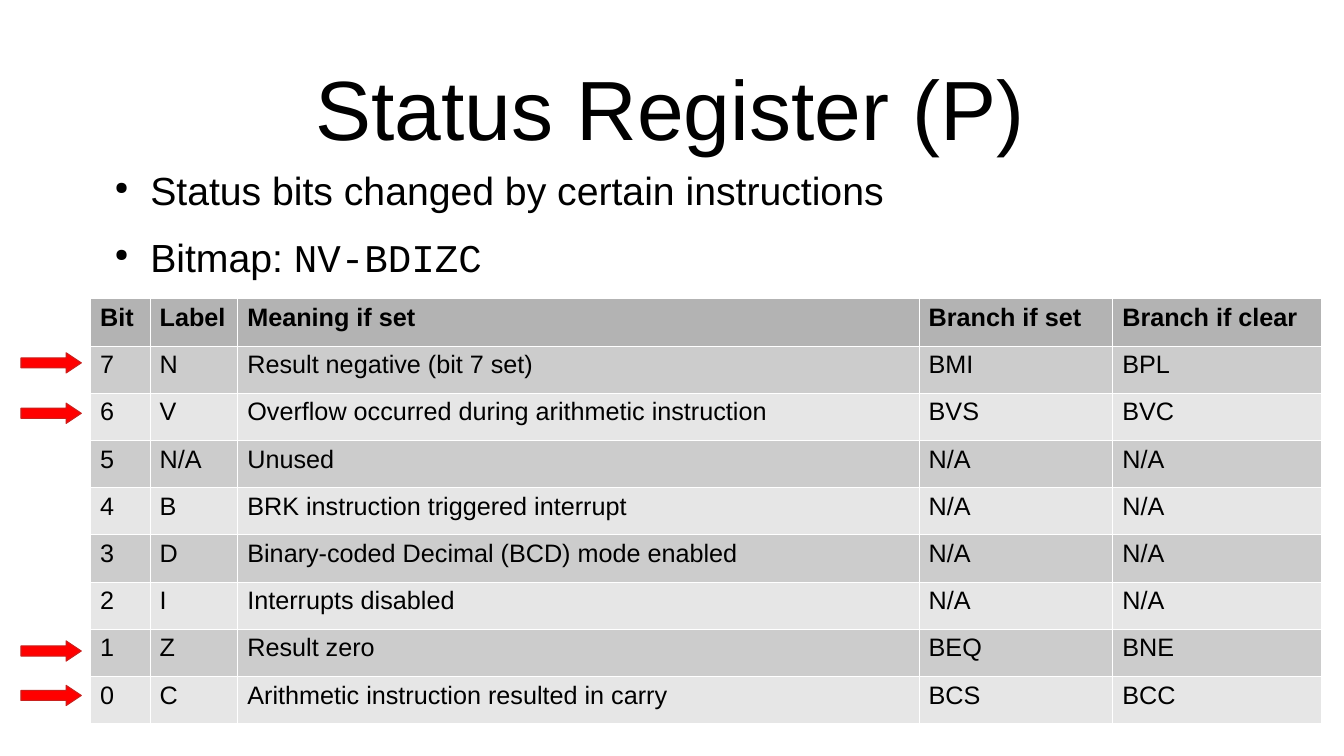
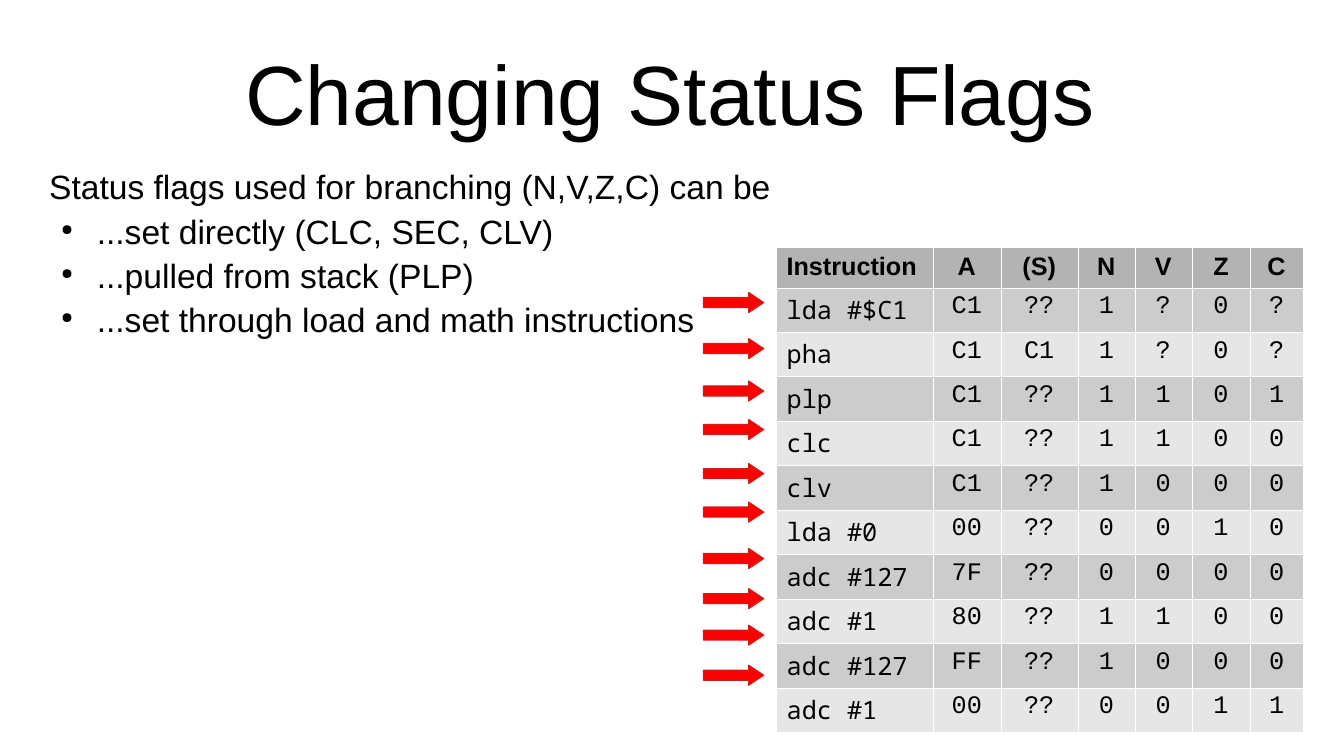
from lxml import etree
from pptx import Presentation
from pptx.dml.color import RGBColor
from pptx.enum.shapes import MSO_SHAPE
from pptx.enum.text import MSO_ANCHOR, MSO_AUTO_SIZE, PP_ALIGN
from pptx.oxml.ns import qn
from pptx.util import Cm, Pt

RIGHT_ARROW = MSO_SHAPE.RIGHT_ARROW
MIDDLE = MSO_ANCHOR.MIDDLE
NO_AUTOFIT = MSO_AUTO_SIZE.NONE
LEFT, CENTER = PP_ALIGN.LEFT, PP_ALIGN.CENTER

BLACK = RGBColor(0x00, 0x00, 0x00)
WHITE = RGBColor(0xFF, 0xFF, 0xFF)
RED = RGBColor(0xFF, 0x00, 0x00)
DARK_RED = RGBColor(0xC9, 0x21, 0x1E)
HEADER_GRAY = RGBColor(0xB3, 0xB3, 0xB3)
BAND_GRAYS = (RGBColor(0xCC, 0xCC, 0xCC), RGBColor(0xE6, 0xE6, 0xE6))

SANS = "Arial"
MONO = "Courier New"
CODE = "Noto Sans Mono"
TITLE_ONLY = 5

STATUS_BITS = [
    ("Bit", "Label", "Meaning if set", "Branch if set", "Branch if clear"),
    ("7", "N", "Result negative (bit 7 set)", "BMI", "BPL"),
    ("6", "V", "Overflow occurred during arithmetic instruction", "BVS", "BVC"),
    ("5", "N/A", "Unused", "N/A", "N/A"),
    ("4", "B", "BRK instruction triggered interrupt", "N/A", "N/A"),
    ("3", "D", "Binary-coded Decimal (BCD) mode enabled", "N/A", "N/A"),
    ("2", "I", "Interrupts disabled", "N/A", "N/A"),
    ("1", "Z", "Result zero", "BEQ", "BNE"),
    ("0", "C", "Arithmetic instruction resulted in carry", "BCS", "BCC"),
]
FLAG_TRACE = [
    ("Instruction", "A", "(S)", "N", "V", "Z", "C"),
    ("lda #$C1", "C1", "??", "1", "?", "0", "?"),
    ("pha", "C1", "C1", "1", "?", "0", "?"),
    ("plp", "C1", "??", "1", "1", "0", "1"),
    ("clc", "C1", "??", "1", "1", "0", "0"),
    ("clv", "C1", "??", "1", "0", "0", "0"),
    ("lda #0", "00", "??", "0", "0", "1", "0"),
    ("adc #127", "7F", "??", "0", "0", "0", "0"),
    ("adc #1", "80", "??", "1", "1", "0", "0"),
    ("adc #127", "FF", "??", "1", "0", "0", "0"),
    ("adc #1", "00", "??", "0", "0", "1", "1"),
]


def add_run(paragraph, text, size, font_name=SANS, bold=False):
    run = paragraph.add_run()
    run.text = text
    run.font.size = Pt(size)
    run.font.name = font_name
    run.font.bold = bold
    run.font.color.rgb = BLACK


def add_titled_slide(presentation, text, top):
    slide = presentation.slides.add_slide(presentation.slide_layouts[TITLE_ONLY])
    title = slide.shapes.title
    title.left, title.top, title.width, title.height = Cm(0.5), Cm(top), Cm(32.77), Cm(3.68)
    frame = title.text_frame
    frame.auto_size = NO_AUTOFIT
    frame.vertical_anchor = MIDDLE
    paragraph = frame.paragraphs[0]
    paragraph.alignment = CENTER
    paragraph.line_spacing = 0.9
    add_run(paragraph, text, 60)
    return slide


def add_bullet(paragraph):
    properties = paragraph._p.get_or_add_pPr()
    properties.set("marL", str(Cm(1.2)))
    properties.set("indent", str(-Cm(0.9)))
    color = etree.SubElement(properties, qn("a:buClr"))
    etree.SubElement(color, qn("a:srgbClr"), val=str(BLACK))
    etree.SubElement(properties, qn("a:buSzPct"), val="45000")
    etree.SubElement(properties, qn("a:buChar"), char="●")


def add_body(slide, left, height, size, space_before, lines):
    box = slide.shapes.add_textbox(Cm(left), Cm(4.06), Cm(29.21), Cm(height))
    frame = box.text_frame
    frame.word_wrap = True
    for index, (bulleted, runs) in enumerate(lines):
        paragraph = frame.add_paragraph() if index else frame.paragraphs[0]
        if bulleted:
            add_bullet(paragraph)
        if index:
            paragraph.space_before = Pt(space_before)
        for text, font_name in runs:
            add_run(paragraph, text, size, font_name)


def add_borders(cell):
    properties = cell._tc.get_or_add_tcPr()
    for side in ("a:lnL", "a:lnR", "a:lnT", "a:lnB"):
        line = etree.SubElement(properties, qn(side), w=str(Pt(0.06)))
        fill = etree.SubElement(line, qn("a:solidFill"))
        etree.SubElement(fill, qn("a:srgbClr"), val=str(WHITE))


def add_grid(slide, left, top, widths, header_height, row_height, rows, fonts, alignments):
    height = header_height + row_height * (len(rows) - 1)
    frame = slide.shapes.add_table(
        len(rows), len(widths), Cm(left), Cm(top), Cm(sum(widths)), Cm(height))
    table = frame.table
    table.horz_banding = False
    for column, width in zip(table.columns, widths):
        column.width = Cm(width)
    for row_index, values in enumerate(rows):
        is_header = row_index == 0
        table.rows[row_index].height = Cm(header_height if is_header else row_height)
        for column_index, value in enumerate(values):
            cell = table.cell(row_index, column_index)
            add_borders(cell)
            cell.fill.solid()
            cell.fill.fore_color.rgb = HEADER_GRAY if is_header else BAND_GRAYS[(row_index - 1) % 2]
            paragraph = cell.text_frame.paragraphs[0]
            paragraph.alignment = alignments[column_index]
            add_run(paragraph, value, 18, SANS if is_header else fonts[column_index], is_header)


def add_arrows(slide, left, tops):
    for top in tops:
        arrow = slide.shapes.add_shape(RIGHT_ARROW, Cm(left), Cm(top), Cm(1.52), Cm(0.51))
        arrow.adjustments[1] = 0.75
        arrow.shadow.inherit = False
        arrow.fill.solid()
        arrow.fill.fore_color.rgb = RED
        arrow.line.color.rgb = DARK_RED
        arrow.line.width = Pt(0)


def build_status_register(presentation):
    slide = add_titled_slide(presentation, "Status Register (P)", 1.02)
    add_body(slide, 2.34, 3.81, 28, 14.2, [
        (True, [("Status bits changed by certain instructions", SANS)]),
        (True, [("Bitmap: ", SANS), ("NV-BDIZC", MONO)]),
    ])
    add_grid(slide, 2.27, 7.52, [1.5, 2.21, 17.17, 4.88, 5.26], 1.19, 1.19,
             STATUS_BITS, [SANS] * 5, [LEFT] * 5)
    add_arrows(slide, 0.53, [8.89, 10.16, 16.15, 17.27])


def build_changing_flags(presentation):
    slide = add_titled_slide(presentation, "Changing Status Flags", 0.64)
    add_body(slide, 0.99, 4.32, 24, 2.9, [
        (False, [("Status flags used for branching (N,V,Z,C) can be", SANS)]),
        (True, [("...set directly (CLC, SEC, CLV)", SANS)]),
        (True, [("...pulled from stack (PLP)", SANS)]),
        (True, [("...set through load and math instructions", SANS)]),
    ])
    add_grid(slide, 19.57, 6.23, [3.94, 1.71, 1.94, 1.44, 1.43, 1.48, 1.32], 0.96, 1.12,
             FLAG_TRACE, [CODE] + [MONO] * 6, [LEFT] + [CENTER] * 6)
    add_arrows(slide, 17.73, [7.37, 8.53, 9.6, 10.57, 11.68, 12.65, 13.82, 14.83, 15.75, 16.76])


def main():
    presentation = Presentation()
    presentation.slide_width = Cm(33.87)
    presentation.slide_height = Cm(19.05)
    build_status_register(presentation)
    build_changing_flags(presentation)
    presentation.save("out.pptx")


if __name__ == "__main__":
    main()
